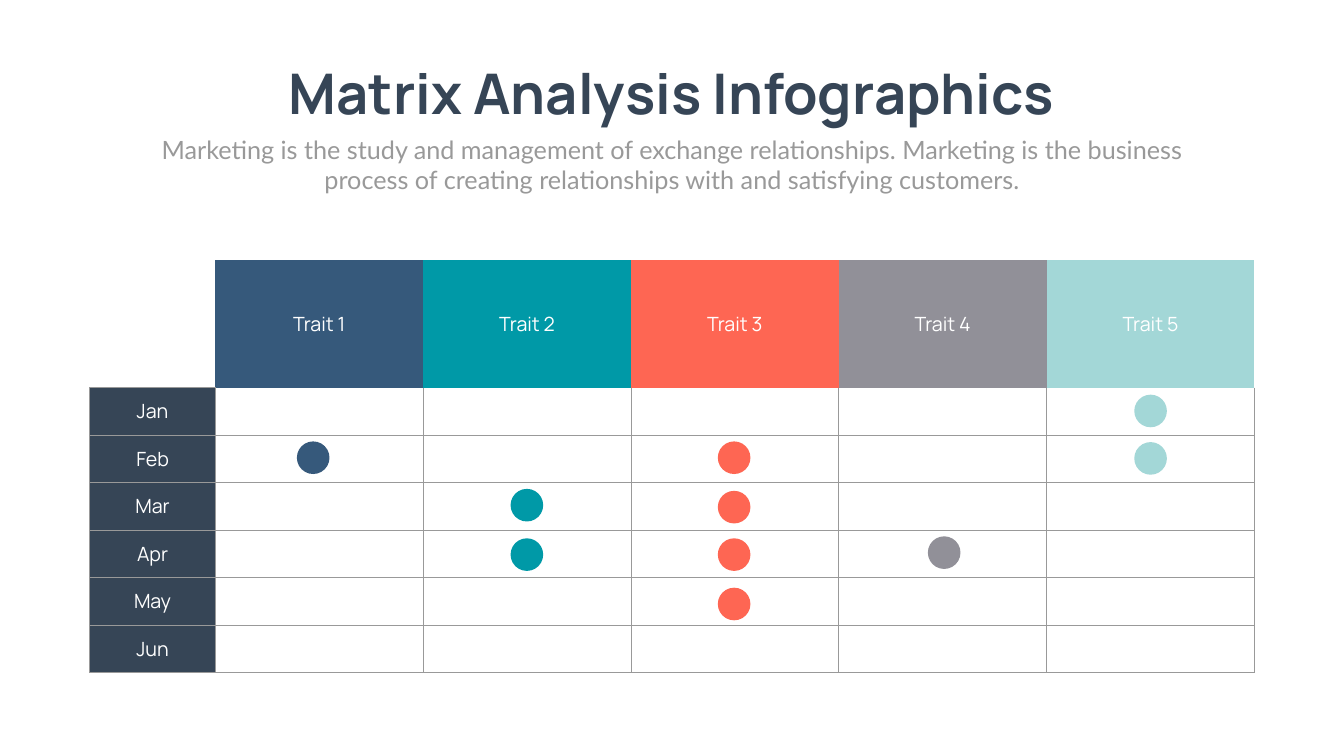
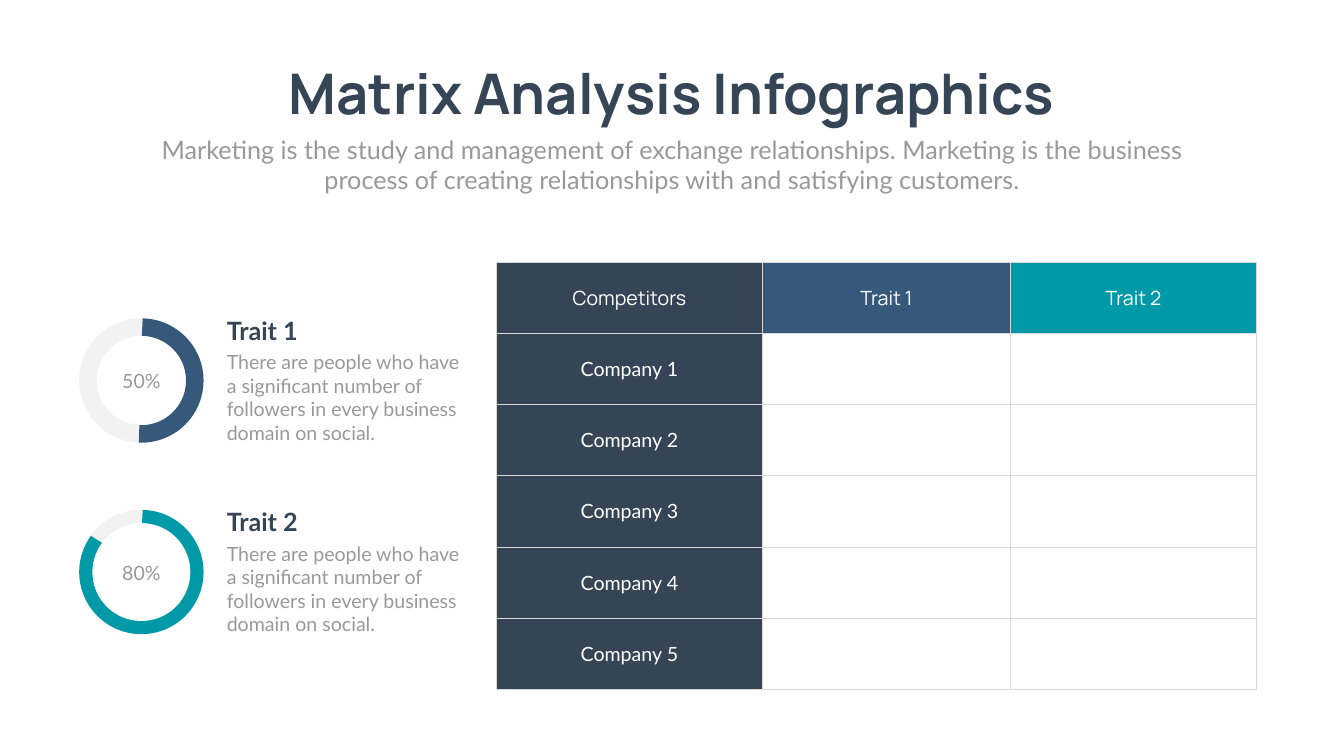
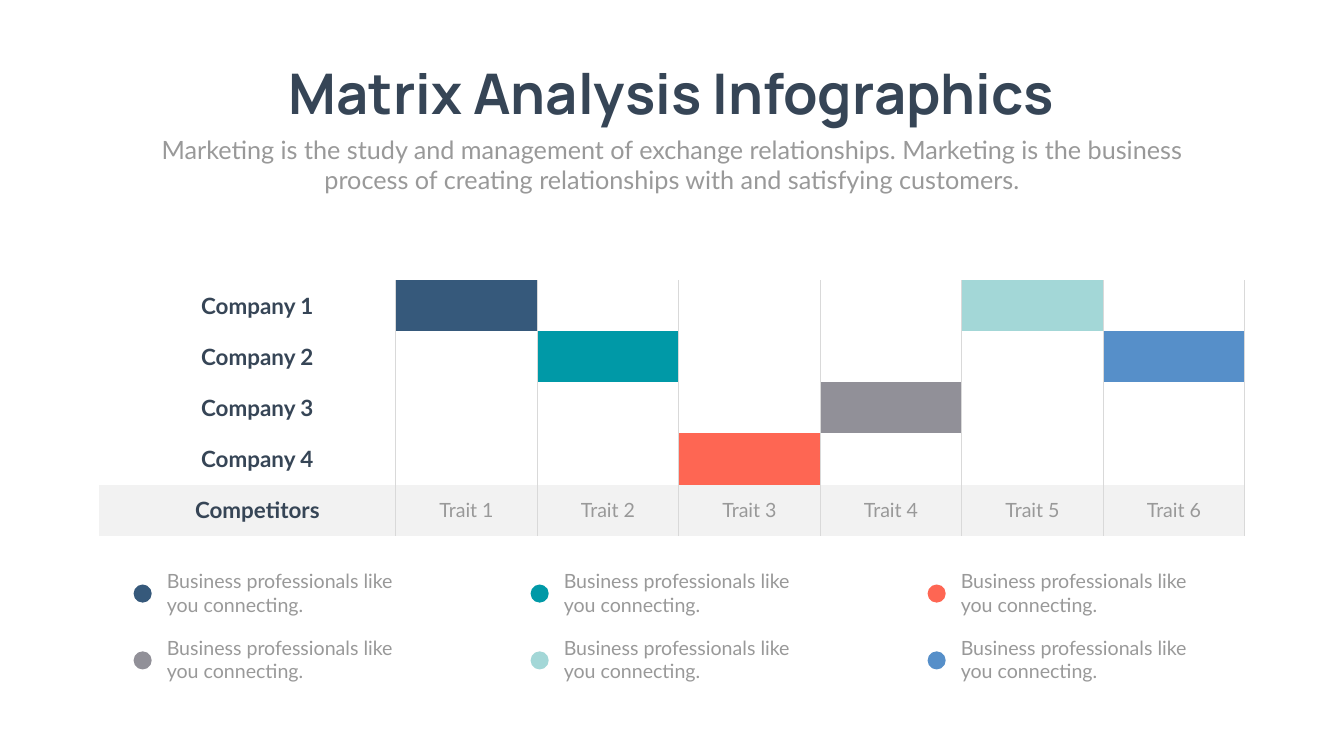
from dataclasses import dataclass
from typing import Optional, Union

from lxml.etree import SubElement
from pptx import Presentation
from pptx.dml.color import RGBColor
from pptx.enum.shapes import MSO_SHAPE
from pptx.enum.text import MSO_ANCHOR, MSO_AUTO_SIZE, PP_ALIGN
from pptx.oxml.ns import qn
from pptx.shapes.autoshape import Shape
from pptx.shapes.shapetree import GroupShapes, SlideShapes
from pptx.slide import Slide
from pptx.table import _Cell as TableCell
from pptx.text.text import _Paragraph as Paragraph
from pptx.util import Pt

ShapeTree = Union[SlideShapes, GroupShapes]

WHITE = RGBColor(0xFF, 0xFF, 0xFF)
SLATE = RGBColor(0x36, 0x45, 0x56)
GRAY = RGBColor(0x99, 0x99, 0x99)
RULE = RGBColor(0xD9, 0xD9, 0xD9)
PALE = RGBColor(0xF2, 0xF2, 0xF2)
NAVY = RGBColor(0x36, 0x59, 0x7B)
TEAL = RGBColor(0x00, 0x99, 0xA7)
CORAL = RGBColor(0xFE, 0x66, 0x53)
STEEL = RGBColor(0x91, 0x90, 0x98)
AQUA = RGBColor(0xA3, 0xD7, 0xD7)
BLUE = RGBColor(0x56, 0x8F, 0xC9)
TRAIT_COLORS = (NAVY, TEAL, CORAL, STEEL, AQUA, BLUE)

SLIDE_WIDTH, SLIDE_HEIGHT = 1919.52, 1080


@dataclass(frozen=True)
class TextStyle:
    size: float
    font: str
    color: RGBColor
    bold: bool = False


TITLE = TextStyle(80, "Manrope", SLATE, True)
SUBTITLE = TextStyle(36, "Lato", GRAY)
HEADING = TextStyle(36, "Lato", SLATE, True)
BODY = TextStyle(28, "Lato", GRAY)
TABLE_HEAD = TextStyle(28, "Manrope", WHITE)
TABLE_LABEL = TextStyle(28, "Lato", WHITE)
ROW_LABEL = TextStyle(32, "Lato", SLATE, True)


@dataclass(frozen=True)
class Box:
    left: float
    top: float
    width: float
    height: float

    def lengths(self) -> tuple[Pt, Pt, Pt, Pt]:
        return Pt(self.left), Pt(self.top), Pt(self.width), Pt(self.height)


@dataclass(frozen=True)
class Cell:
    """One table cell; sides names its ruled edges by L, R, T and B."""

    text: str = ""
    fill: Optional[RGBColor] = WHITE
    style: TextStyle = TABLE_HEAD
    sides: str = "LRTB"
    left_inset: float = 7.2


@dataclass(frozen=True)
class Gauge:
    label: str
    percent: str
    color: RGBColor
    sweep_end: float
    has_inner_disc: bool


def write(paragraph: Paragraph, text: str, style: TextStyle) -> None:
    run = paragraph.add_run()
    run.text = text
    run.font.size = Pt(style.size)
    run.font.name = style.font
    run.font.bold = style.bold
    run.font.color.rgb = style.color


def add_text(shapes: ShapeTree, box: Box, text: str, style: TextStyle,
             align: PP_ALIGN = PP_ALIGN.LEFT, wrap: bool = True) -> None:
    frame = shapes.add_textbox(*box.lengths()).text_frame
    frame.word_wrap = wrap
    frame.auto_size = MSO_AUTO_SIZE.SHAPE_TO_FIT_TEXT
    paragraph = frame.paragraphs[0]
    paragraph.alignment = align
    write(paragraph, text, style)


def add_plain_shape(shapes: ShapeTree, kind: MSO_SHAPE, box: Box) -> Shape:
    shape = shapes.add_shape(kind, *box.lengths())
    shape.shadow.inherit = False
    shape.fill.background()
    shape.line.fill.background()
    return shape


def add_disc(shapes: ShapeTree, left: float, top: float, diameter: float, color: RGBColor) -> None:
    disc = add_plain_shape(shapes, MSO_SHAPE.OVAL, Box(left, top, diameter, diameter))
    disc.fill.solid()
    disc.fill.fore_color.rgb = color


def add_stroke(shapes: ShapeTree, kind: MSO_SHAPE, box: Box, color: RGBColor) -> Shape:
    shape = add_plain_shape(shapes, kind, box)
    shape.line.color.rgb = color
    shape.line.width = Pt(25)
    return shape


def rule_cell(cell: TableCell, sides: str, color: RGBColor) -> None:
    properties = cell._tc.get_or_add_tcPr()
    for side in "LRTB":
        line = SubElement(properties, qn(f"a:ln{side}"), w=str(Pt(1)))
        if side in sides:
            SubElement(SubElement(line, qn("a:solidFill")), qn("a:srgbClr"), val=str(color))
        else:
            SubElement(line, qn("a:noFill"))


def add_matrix(slide: Slide, left: float, top: float, widths: list[float],
               heights: list[float], rows: list[list[Cell]], rule: RGBColor) -> None:
    box = Box(left, top, sum(widths), sum(heights))
    table = slide.shapes.add_table(len(heights), len(widths), *box.lengths()).table
    table.first_row = table.horz_banding = False
    for column, width in zip(table.columns, widths):
        column.width = Pt(width)
    for row, height, contents in zip(table.rows, heights, rows):
        row.height = Pt(height)
        for cell, content in zip(row.cells, contents):
            rule_cell(cell, content.sides, rule)
            if content.fill is None:
                cell.fill.background()
            else:
                cell.fill.solid()
                cell.fill.fore_color.rgb = content.fill
            cell.vertical_anchor = MSO_ANCHOR.MIDDLE
            cell.margin_left = Pt(content.left_inset)
            if content.text:
                paragraph = cell.text_frame.paragraphs[0]
                paragraph.alignment = PP_ALIGN.CENTER
                write(paragraph, content.text, content.style)


def add_heading(slide: Slide) -> None:
    add_text(slide.shapes, Box(357.8, 80.6, 1203.1, 104.4), "Matrix Analysis Infographics",
             TITLE, PP_ALIGN.CENTER, wrap=False)
    add_text(slide.shapes, Box(210.2, 187.9, 1499, 94.3),
             "Marketing is the study and management of exchange relationships. "
             "Marketing is the business process of creating relationships with "
             "and satisfying customers.", SUBTITLE, PP_ALIGN.CENTER)


def build_month_matrix(slide: Slide) -> None:
    months = ("Jan", "Feb", "Mar", "Apr", "May", "Jun")
    traits = TRAIT_COLORS[:5]
    rows = [[Cell(fill=None, sides="B")]
            + [Cell(f"Trait {number}", color, sides="")
               for number, color in enumerate(traits, 1)]]
    for month in months:
        sides = "LRB" if month == "Jan" else "LRTB"
        rows.append([Cell(month, SLATE)] + [Cell(sides=sides)] * len(traits))
    add_matrix(slide, 128.2, 371.5, [179.3] + [296.8] * 5, [182.2] + [67.8] * 6, rows, GRAY)

    marker_columns = (
        (424, (630.6,)),
        (729.2, (698.4, 769)),
        (1025.2, (630.6, 701.2, 769, 839.6)),
        (1325.2, (766.2,)),
        (1620, (563.8, 631.6)),
    )
    for color, (left, tops) in zip(traits, marker_columns):
        for top in tops:
            add_disc(slide.shapes, left, top, 46.6, color)


def add_gauge(slide: Slide, gauge: Gauge, top: float) -> None:
    left, diameter, inner_gap, text_left = 125.6, 152.6, 6.4, 316.8
    shapes = slide.shapes.add_group_shape().shapes
    ring = Box(left, top, diameter, diameter)
    add_stroke(shapes, MSO_SHAPE.OVAL, ring, PALE)
    arc = add_stroke(shapes, MSO_SHAPE.ARC, ring, gauge.color)
    # One degree is 60000 units, and an adjustment of 1 is 100000 units.
    for index, degrees in enumerate((270.97, gauge.sweep_end)):
        arc.adjustments[index] = degrees * 0.6
    if gauge.has_inner_disc:
        add_disc(shapes, left + inner_gap, top + inner_gap, diameter - 2 * inner_gap, WHITE)
    add_text(shapes, Box(left + 11.3, top + 56.2, 130, 41), gauge.percent, BODY, PP_ALIGN.CENTER)
    add_text(shapes, Box(text_left, top + 29.5, 353.5, 143.3),
             "There are people who have a significant number of followers "
             "in every business domain on social.", BODY)
    add_text(shapes, Box(text_left, top - 20.9, 436.3, 51.1), gauge.label, HEADING)


def build_gauges_and_table(slide: Slide) -> None:
    rows = [[Cell("Competitors", SLATE), Cell("Trait 1", NAVY), Cell("Trait 2", TEAL)]]
    for number in range(1, 6):
        rows.append([Cell(f"Company {number}", SLATE, TABLE_LABEL), Cell(), Cell()])
    add_matrix(slide, 709.2, 374.4, [379.4, 355, 350.6], [101.75] * 6, rows, RULE)

    gauges = (Gauge("Trait 1", "50%", NAVY, 92.4, False),
              Gauge("Trait 2", "80%", TEAL, 216.15, True))
    for index, gauge in enumerate(gauges):
        add_gauge(slide, gauge, 467.3 + index * 273.6)


def build_coverage_matrix(slide: Slide) -> None:
    def row_label(text: str, fill: RGBColor) -> Cell:
        return Cell(text, fill, ROW_LABEL, "R", 36)

    trait_companies = (1, 2, 4, 3, 1, 2)
    rows = []
    for company in range(1, 5):
        fills = [color if company == owner else WHITE
                 for color, owner in zip(TRAIT_COLORS, trait_companies)]
        rows.append([row_label(f"Company {company}", WHITE)]
                    + [Cell(fill=fill, sides="LR") for fill in fills])
    rows.append([row_label("Competitors", PALE)]
                + [Cell(f"Trait {number}", PALE, BODY, "LR") for number in range(1, 7)])
    add_matrix(slide, 141.1, 400.3, [424.1] + [202.1] * 6, [73] * 5, rows, RULE)

    for index, color in enumerate(TRAIT_COLORS):
        row, column = divmod(index, 3)
        left, top = 190.8 + column * 567, 809.3 + row * 95.5
        add_text(slide.shapes, Box(left + 40.3, top, 363.6, 74.9),
                 "Business professionals like you connecting.", BODY)
        add_disc(slide.shapes, left, top + 25.7, 25.9, color)


def main() -> None:
    presentation = Presentation()
    presentation.slide_width = Pt(SLIDE_WIDTH)
    presentation.slide_height = Pt(SLIDE_HEIGHT)
    blank_layout = presentation.slide_layouts[6]
    for build in (build_month_matrix, build_gauges_and_table, build_coverage_matrix):
        slide = presentation.slides.add_slide(blank_layout)
        build(slide)
        add_heading(slide)
    presentation.save("out.pptx")


if __name__ == "__main__":
    main()
